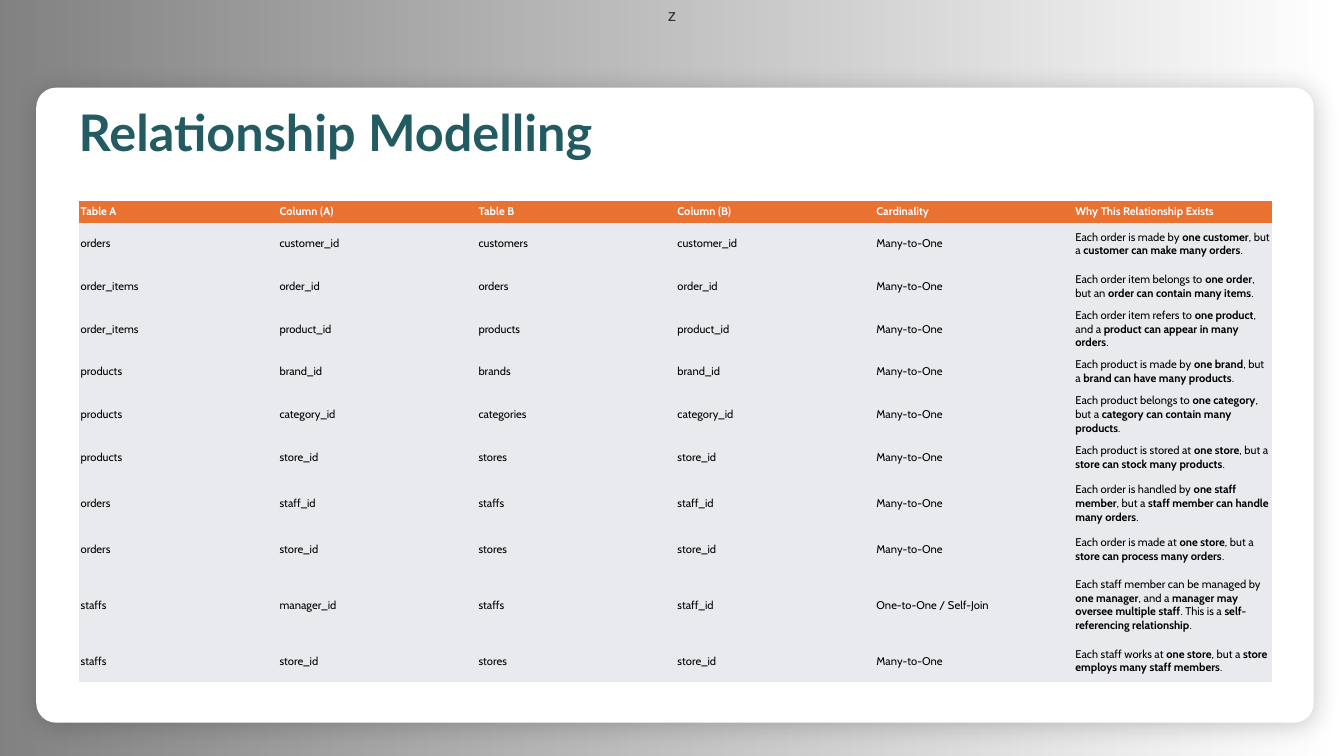
from lxml.etree import SubElement
from pptx import Presentation
from pptx.dml.color import RGBColor
from pptx.enum.shapes import MSO_SHAPE as Shape
from pptx.enum.text import MSO_ANCHOR as Anchor, MSO_AUTO_SIZE as AutoSize, PP_ALIGN as Align
from pptx.oxml.ns import qn
from pptx.util import Inches, Pt

NO_STYLE_NO_GRID = "{2D5ABB26-0587-4C30-8999-92F81FD0307C}"
HEADINGS = ["Table A", "Column (A)", "Table B", "Column (B)", "Cardinality", "Why This Relationship Exists"]
MANY = "Many-to-One"
RELATIONSHIPS = [
    ("orders", "customer_id", "customers", "customer_id", MANY,
     "Each order is made by **one customer**, but a **customer can make many orders**."),
    ("order_items", "order_id", "orders", "order_id", MANY,
     "Each order item belongs to **one order**, but an **order can contain many items**."),
    ("order_items", "product_id", "products", "product_id", MANY,
     "Each order item refers to **one product**, and a **product can appear in many orders**."),
    ("products", "brand_id", "brands", "brand_id", MANY,
     "Each product is made by **one brand**, but a **brand can have many products**."),
    ("products", "category_id", "categories", "category_id", MANY,
     "Each product belongs to **one category**, but a **category can contain many products**."),
    ("products", "store_id", "stores", "store_id", MANY,
     "Each product is stored at **one store**, but a **store can stock many products**."),
    ("orders", "staff_id", "staffs", "staff_id", MANY,
     "Each order is handled by **one staff member**, but a **staff member can handle many orders**."),
    ("orders", "store_id", "stores", "store_id", MANY,
     "Each order is made at **one store**, but a **store can process many orders**."),
    ("staffs", "manager_id", "staffs", "staff_id", "One-to-One / Self-Join",
     "Each staff member can be managed by **one manager**, and a **manager may oversee multiple staff**."
     " This is a **self-referencing relationship**."),
    ("staffs", "store_id", "stores", "store_id", MANY,
     "Each staff works at **one store**, but a **store employs many staff members**."),
]
ROW_HEIGHTS = [0.22] + [0.42] * 6 + [0.49, 0.42, 0.69, 0.42]


def rgb(value):
    return RGBColor.from_string(value)


def write(frame, text, font="Cabin", size=8, color="000000", bold=False, align=Align.LEFT):
    para = frame.paragraphs[0]
    para.alignment = align
    for index, part in enumerate(text.split("**")):
        span = para.add_run()
        span.text = part
        span.font.name = font
        span.font.size = Pt(size)
        span.font.bold = bold or index % 2 == 1
        span.font.color.rgb = rgb(color)


def set_margins(target, side, edge):
    target.margin_left = target.margin_right = Inches(side)
    target.margin_top = target.margin_bottom = Inches(edge)


class SlideBuilder:
    header_fill = "E97132"
    body_fill = "E8EAED"
    title_color = "225B61"

    def __init__(self, page):
        self.page = page

    def shape(self, kind, left, top, width, height):
        box = self.page.shapes.add_shape(kind, Inches(left), Inches(top), Inches(width), Inches(height))
        box.shadow.inherit = False
        box.line.fill.background()
        return box

    def backdrop(self, text):
        box = self.shape(Shape.RECTANGLE, 0, 0, 13.33, 7.5)
        box.fill.gradient()
        box.fill.gradient_angle = 180
        for stop, position, opacity in zip(box.fill.gradient_stops, (0, 1), (0, 50)):
            stop.position = position
            stop.color.rgb = rgb("000000")
            color = box.element.xpath(".//a:gs/a:srgbClr")[position]
            SubElement(color, qn("a:alpha"), val=str(opacity * 1000))
        box.text_frame.vertical_anchor = Anchor.TOP
        write(box.text_frame, text, font="Arial", size=12, color="2E2E38", align=Align.CENTER)

    def card(self):
        box = self.shape(Shape.ROUNDED_RECTANGLE, 0.36, 0.87, 12.67, 6.3)
        box.adjustments[0] = 0.031
        box.fill.solid()
        box.fill.fore_color.rgb = rgb("FFFFFF")
        effects = box.element.spPr.find(qn("a:effectLst"))
        shadow = SubElement(effects, qn("a:outerShdw"), blurRad=str(Pt(18)), dist=str(Pt(3)),
                            dir=str(45 * 60000), algn="tl", rotWithShape="0")
        color = SubElement(shadow, qn("a:srgbClr"), val="000000")
        SubElement(color, qn("a:alpha"), val="20000")

    def table(self, rows, heights):
        count = len(rows[0])
        frame = self.page.shapes.add_table(len(rows), count, Inches(0.78), Inches(1.99),
                                           Inches(11.84), Inches(sum(heights)))
        frame.element.xpath(".//a:tableStyleId")[0].text = NO_STYLE_NO_GRID
        grid = frame.table
        grid.horz_banding = False
        for column in grid.columns:
            column.width = Inches(11.84 / count)
        for index, (texts, height) in enumerate(zip(rows, heights)):
            grid.rows[index].height = Inches(height)
            header = index == 0
            for cell, text in zip(grid.rows[index].cells, texts):
                cell.vertical_anchor = Anchor.MIDDLE
                set_margins(cell, 0.02, 0.01)
                cell.fill.solid()
                cell.fill.fore_color.rgb = rgb(self.header_fill if header else self.body_fill)
                write(cell.text_frame, text, color="FFFFFF" if header else "000000", bold=header)

    def title(self, text):
        box = self.page.shapes.add_textbox(Inches(0.78), Inches(1), Inches(5.45), Inches(0.61))
        frame = box.text_frame
        frame.word_wrap = False
        frame.auto_size = AutoSize.SHAPE_TO_FIT_TEXT
        set_margins(frame, 0, 0)
        write(frame, text, font="Lato", size=36, color=self.title_color, bold=True)


def main():
    deck = Presentation()
    deck.slide_width = Inches(13.33)
    deck.slide_height = Inches(7.5)
    builder = SlideBuilder(deck.slides.add_slide(deck.slide_layouts[6]))
    builder.backdrop("z")
    builder.card()
    builder.table([HEADINGS] + RELATIONSHIPS, ROW_HEIGHTS)
    builder.title("Relationship Modelling")
    deck.save("out.pptx")


if __name__ == "__main__":
    main()
